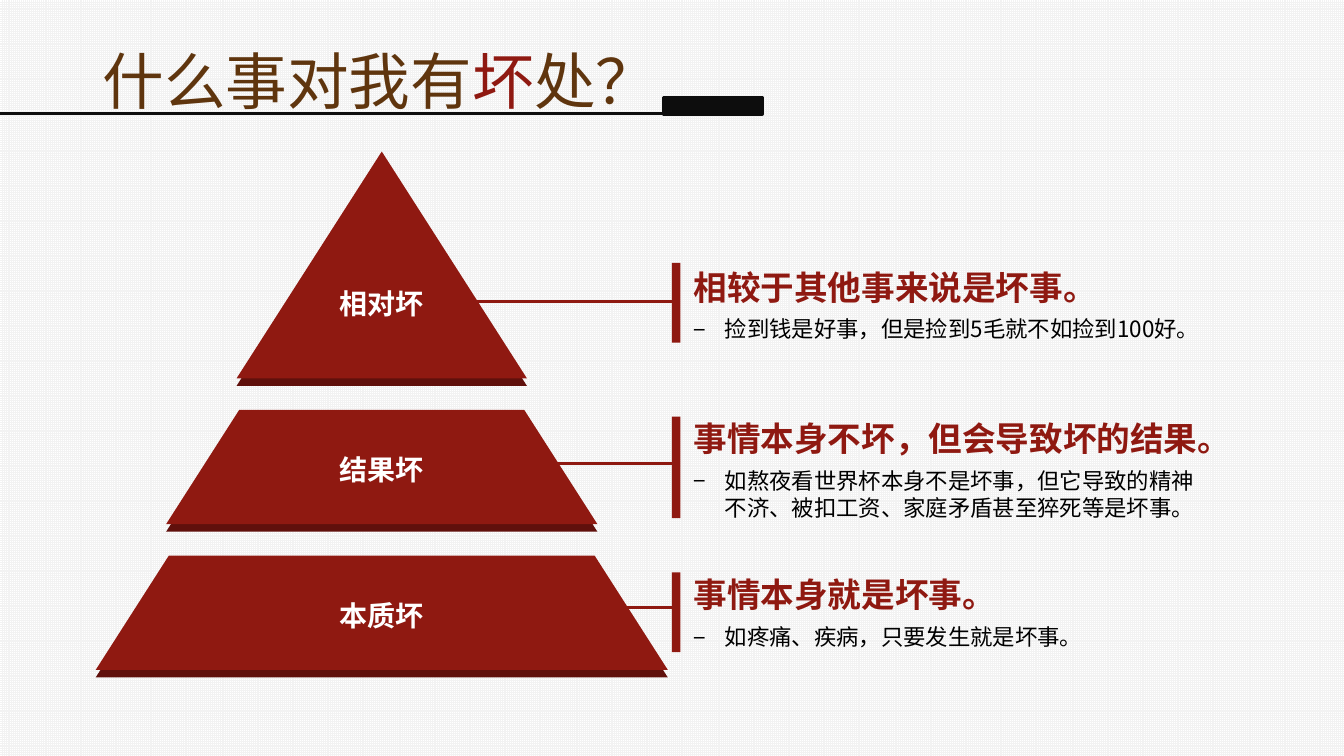
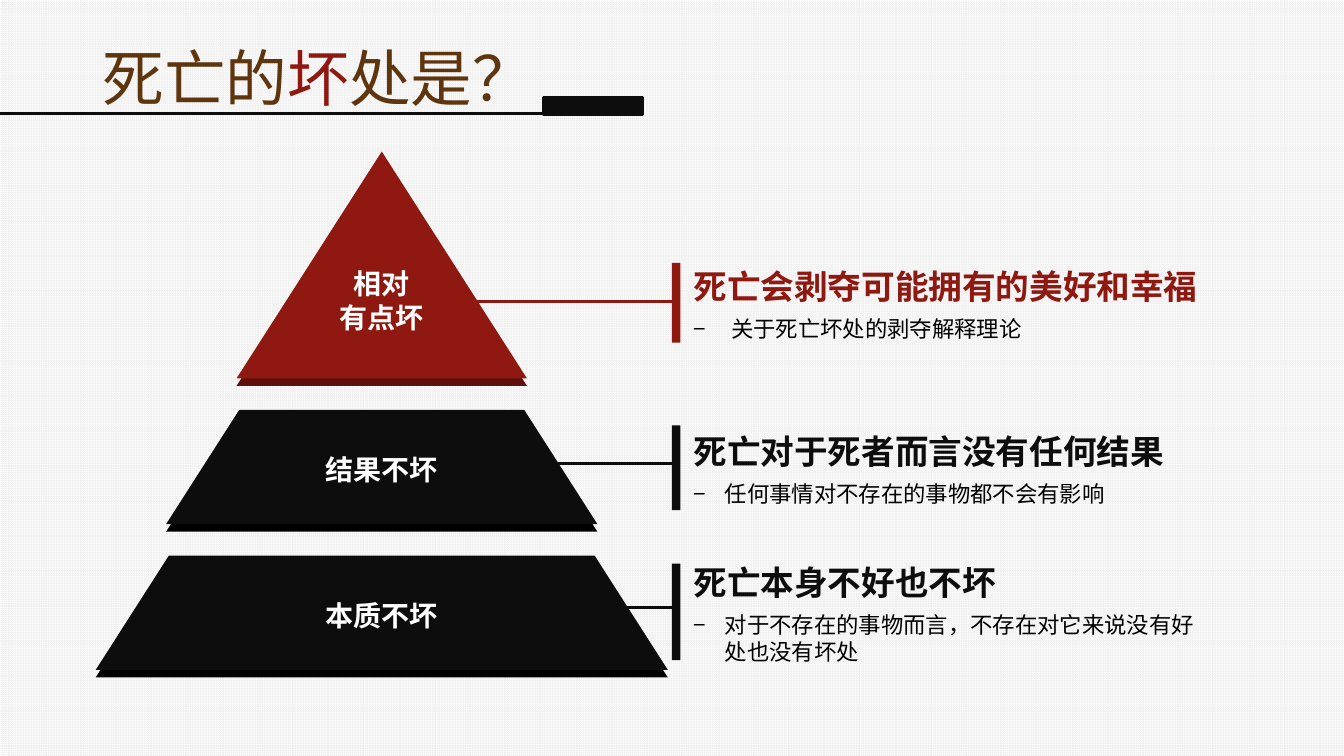
from dataclasses import dataclass

from lxml import etree
from pptx import Presentation
from pptx import util as u
from pptx.dml.color import RGBColor
from pptx.enum import dml, shapes, text
from pptx.oxml import ns

COLUMNS, ROWS = 160, 90
SLIDE_WIDTH, SLIDE_HEIGHT = u.Inches(13.33), u.Inches(7.5)


@dataclass(frozen=True)
class Theme:
    font: str = "Noto Sans CJK SC"
    brown: str = "5F350E"
    red: str = "8F1911"
    dark_red: str = "60100C"
    ink: str = "0D0D0D"
    black: str = "000000"
    white: str = "FFFFFF"
    grid: str = "F2F2F2"
    title_size: int = 44
    heading_size: int = 24
    label_size: int = 20
    detail_size: int = 16
    line_spacing: float = 1.21


THEME = Theme()
RED_TONE = (THEME.red, THEME.dark_red)
BLACK_TONE = (THEME.ink, THEME.black)

PYRAMID_CENTER = 45.45
PYRAMID_TOP = 18.5
TIER_HEIGHTS = (26.3, 13.1, 13.1)
TIER_GAP = 4.25
SLOPE = 0.64
SHADE_DROP = 0.9
LINE_ROWS = (35.9, 55.2, 72.35)
LABEL_ROWS = (36.1, 55.85, 73.2)
LABEL_WIDTH, LABEL_HEIGHT = 19.8, 9.6
LINE_LEFT, BAR_LEFT, BAR_WIDTH = 53.9, 80, 1
CALLOUT_LEFT, CALLOUT_WIDTH = 81.35, 63


@dataclass(frozen=True)
class Tier:
    label: tuple
    tone: tuple
    heading: str
    detail: str
    callout: tuple
    bar: tuple
    label_shift: float = 0
    indent: float = 3.75


def column(count):
    return round(SLIDE_WIDTH * count / COLUMNS)


def row(count):
    return round(SLIDE_HEIGHT * count / ROWS)


def area(left, top, width, height):
    return column(left), row(top), column(width), row(height)


def color(value):
    return RGBColor.from_string(value)


def add_child(parent, tag, **attributes):
    return etree.SubElement(parent, ns.qn(tag), attributes)


def add_run(paragraph, words, size, value, bold=False):
    run = paragraph.add_run()
    run.text = words
    run.font.size = u.Pt(size)
    run.font.bold = bold
    run.font.color.rgb = color(value)
    run.font.name = THEME.font
    properties = run.font._element
    properties.set("lang", "zh-CN")
    add_child(properties, "a:ea", typeface=THEME.font)


def format_paragraph(paragraph, size, align=text.PP_ALIGN.LEFT, before=0, bullet=None, indent=0):
    properties = paragraph._p.get_or_add_pPr()
    properties.set("marL", str(column(indent)))
    properties.set("indent", str(-column(indent)))
    if bullet:
        add_child(properties, "a:buFont", typeface=THEME.font)
        add_child(properties, "a:buChar", char=bullet)
    else:
        add_child(properties, "a:buNone")
    paragraph.alignment = align
    paragraph.space_before = u.Pt(before)
    paragraph.space_after = u.Pt(0)
    paragraph.line_spacing = u.Pt(round(size * THEME.line_spacing, 1))


def prepare_frame(shape, anchor):
    frame = shape.text_frame
    frame.word_wrap = True
    frame.auto_size = text.MSO_AUTO_SIZE.NONE
    frame.vertical_anchor = anchor
    return frame


def place(shape, left, top, width, height):
    shape.left, shape.top, shape.width, shape.height = area(left, top, width, height)


def paint(shape, value, line_width=0):
    shape.shadow.inherit = False
    shape.fill.solid()
    shape.fill.fore_color.rgb = color(value)
    if line_width:
        shape.line.color.rgb = color(value)
        shape.line.width = u.Pt(line_width)
    else:
        shape.line.fill.background()


def add_block(slide, left, top, width, height, value, line_width=0):
    block = slide.shapes.add_shape(shapes.MSO_SHAPE.RECTANGLE, *area(left, top, width, height))
    paint(block, value, line_width)


def add_line(slide, start, end, level, value, width, dot=False):
    connector = slide.shapes.add_connector(
        shapes.MSO_CONNECTOR.STRAIGHT, column(start), row(level), column(end), row(level))
    connector.line.color.rgb = color(value)
    connector.line.width = u.Pt(width)
    if dot:
        add_child(connector.line._get_or_add_ln(), "a:headEnd", type="oval")
    add_child(connector._element.spPr, "a:effectLst")


def add_layer(slide, top, height, upper, lower, value):
    corners = [(-upper, top), (upper, top), (lower, top + height), (-lower, top + height)]
    points = list(dict.fromkeys((column(PYRAMID_CENTER + x), row(y)) for x, y in corners))
    builder = slide.shapes.build_freeform(*points[0])
    builder.add_line_segments(points[1:], close=True)
    layer = builder.convert_to_shape()
    paint(layer, value, 3)
    add_child(layer.line._get_or_add_ln(), "a:miter", lim="800000")


def add_label(slide, lines, center):
    box = slide.shapes.add_textbox(*area(
        PYRAMID_CENTER - LABEL_WIDTH / 2, center - LABEL_HEIGHT / 2, LABEL_WIDTH, LABEL_HEIGHT))
    frame = prepare_frame(box, text.MSO_ANCHOR.MIDDLE)
    for index, words in enumerate(lines):
        paragraph = frame.add_paragraph() if index else frame.paragraphs[0]
        format_paragraph(paragraph, THEME.label_size, text.PP_ALIGN.CENTER)
        add_run(paragraph, words, THEME.label_size, THEME.white, True)


def fill_callout(placeholder, tier):
    top, height = tier.callout
    place(placeholder, CALLOUT_LEFT, top, CALLOUT_WIDTH, height)
    frame = prepare_frame(placeholder, text.MSO_ANCHOR.TOP)
    heading = frame.paragraphs[0]
    format_paragraph(heading, THEME.heading_size)
    add_run(heading, tier.heading, THEME.heading_size, tier.tone[0], True)
    detail = frame.add_paragraph()
    format_paragraph(detail, THEME.detail_size, before=6, bullet="−", indent=tier.indent)
    add_run(detail, tier.detail, THEME.detail_size, THEME.black)


def add_header(slide, words, top, rule_end):
    title = slide.shapes.title
    place(title, 11, top, 138, 10)
    paragraph = prepare_frame(title, text.MSO_ANCHOR.MIDDLE).paragraphs[0]
    format_paragraph(paragraph, THEME.title_size)
    for part, value in zip(words, (THEME.brown, THEME.red, THEME.brown)):
        add_run(paragraph, part, THEME.title_size, value)
    add_line(slide, rule_end, 0, 13.55, THEME.ink, 2.25)
    add_block(slide, rule_end, 11.6, 11.75, 2, THEME.ink, 2.5)


def add_pyramid(slide, tiers):
    top, depth = PYRAMID_TOP, 0
    for tier, height, line_row, label_row in zip(tiers, TIER_HEIGHTS, LINE_ROWS, LABEL_ROWS):
        face, shade = tier.tone
        upper, lower = depth * SLOPE, (depth + height) * SLOPE
        add_layer(slide, top + SHADE_DROP, height, upper, lower, shade)
        add_layer(slide, top, height, upper, lower, face)
        add_line(slide, LINE_LEFT, BAR_LEFT + BAR_WIDTH / 2, line_row, face, 2.5, dot=True)
        add_label(slide, tier.label, label_row + tier.label_shift)
        bar_top, bar_height = tier.bar
        add_block(slide, BAR_LEFT, bar_top, BAR_WIDTH, bar_height, face)
        top += height + TIER_GAP
        depth += height


def add_pyramid_slide(presentation, words, title_top, rule_end, tiers):
    slide = presentation.slides.add_slide(presentation.slide_layouts.get_by_name("Comparison"))
    add_header(slide, words, title_top, rule_end)
    bodies = list(slide.placeholders)[1:]
    for placeholder, tier in zip(bodies, tiers):
        fill_callout(placeholder, tier)
    for spare in bodies[len(tiers):]:
        spare.element.getparent().remove(spare.element)
    add_pyramid(slide, tiers)


def set_background(presentation):
    fill = presentation.slide_master.background.fill
    fill.patterned()
    fill.pattern = dml.MSO_PATTERN.SMALL_GRID
    fill.fore_color.rgb = color(THEME.grid)
    fill.back_color.rgb = color(THEME.white)


def main():
    presentation = Presentation()
    presentation.slide_width, presentation.slide_height = SLIDE_WIDTH, SLIDE_HEIGHT
    set_background(presentation)
    add_pyramid_slide(presentation, ("什么事对我有", "坏", "处？"), 4.5, 79, (
        Tier(("相对坏",), RED_TONE, "相较于其他事来说是坏事。",
             "捡到钱是好事，但是捡到5毛就不如捡到100好。", (31.1, 10.3), (31.3, 9.5)),
        Tier(("结果坏",), RED_TONE, "事情本身不坏，但会导致坏的结果。",
             "如熬夜看世界杯本身不是坏事，但它导致的精神不济、被扣工资、家庭矛盾甚至猝死等是坏事。",
             (49.1, 13.55), (49.6, 12.1)),
        Tier(("本质坏",), RED_TONE, "事情本身就是坏事。",
             "如疼痛、疾病，只要发生就是坏事。", (67.7, 10.7), (68.15, 9.5)),
    ))
    add_pyramid_slide(presentation, ("死亡的", "坏", "处是？"), 4.1, 64.7, (
        Tier(("相对", "有点坏"), RED_TONE, "死亡会剥夺可能拥有的美好和幸福",
             "关于死亡坏处的剥夺解释理论", (31, 10.3), (31.3, 9.5), -0.4, 4.5),
        Tier(("结果不坏",), BLACK_TONE, "死亡对于死者而言没有任何结果",
             "任何事情对不存在的事物都不会有影响", (50.65, 10.3), (50.65, 10.1)),
        Tier(("本质不坏",), BLACK_TONE, "死亡本身不好也不坏",
             "对于不存在的事物而言，不存在对它来说没有好处也没有坏处",
             (66.25, 13.55), (67.1, 11.5)),
    ))
    presentation.save("out.pptx")


if __name__ == "__main__":
    main()
